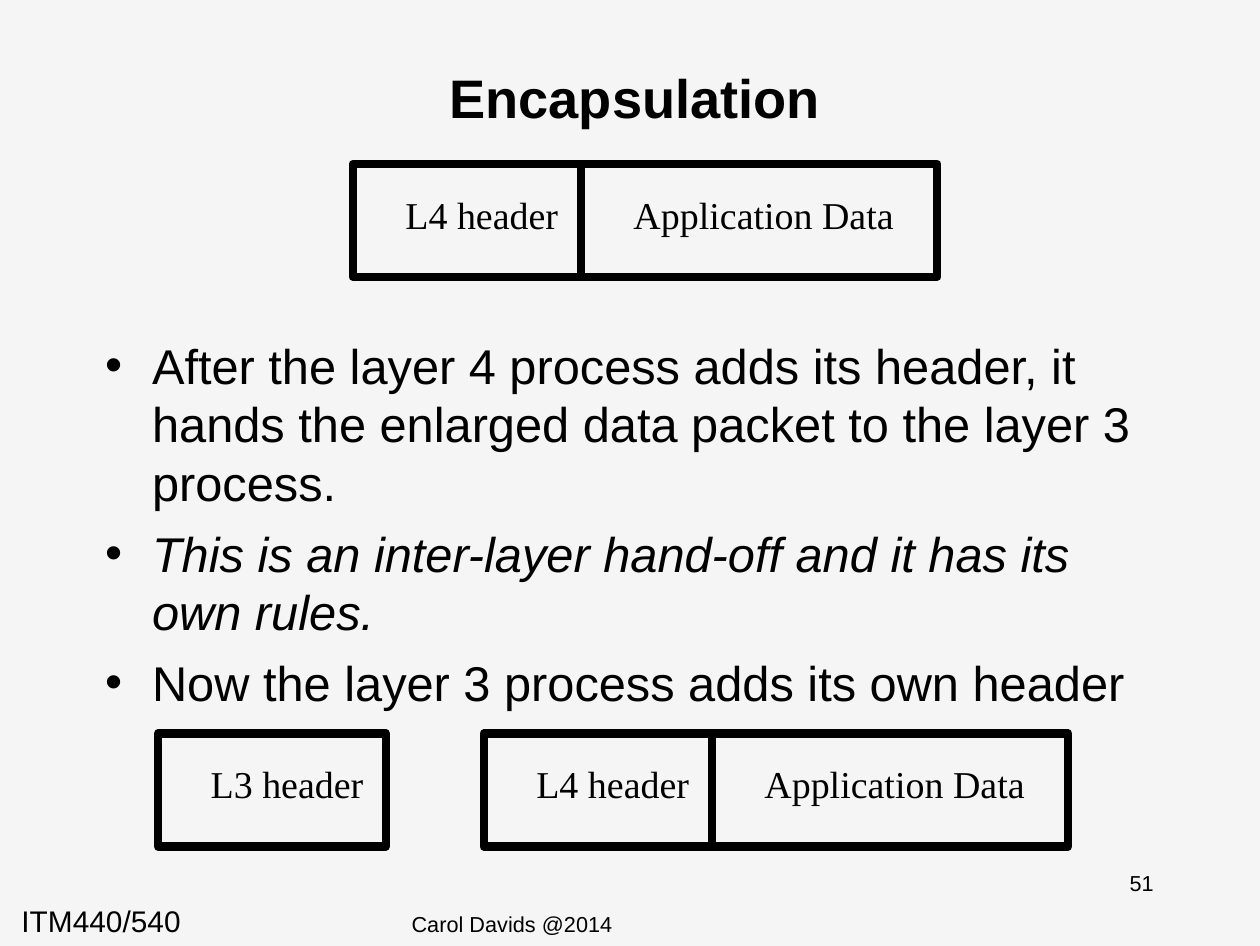
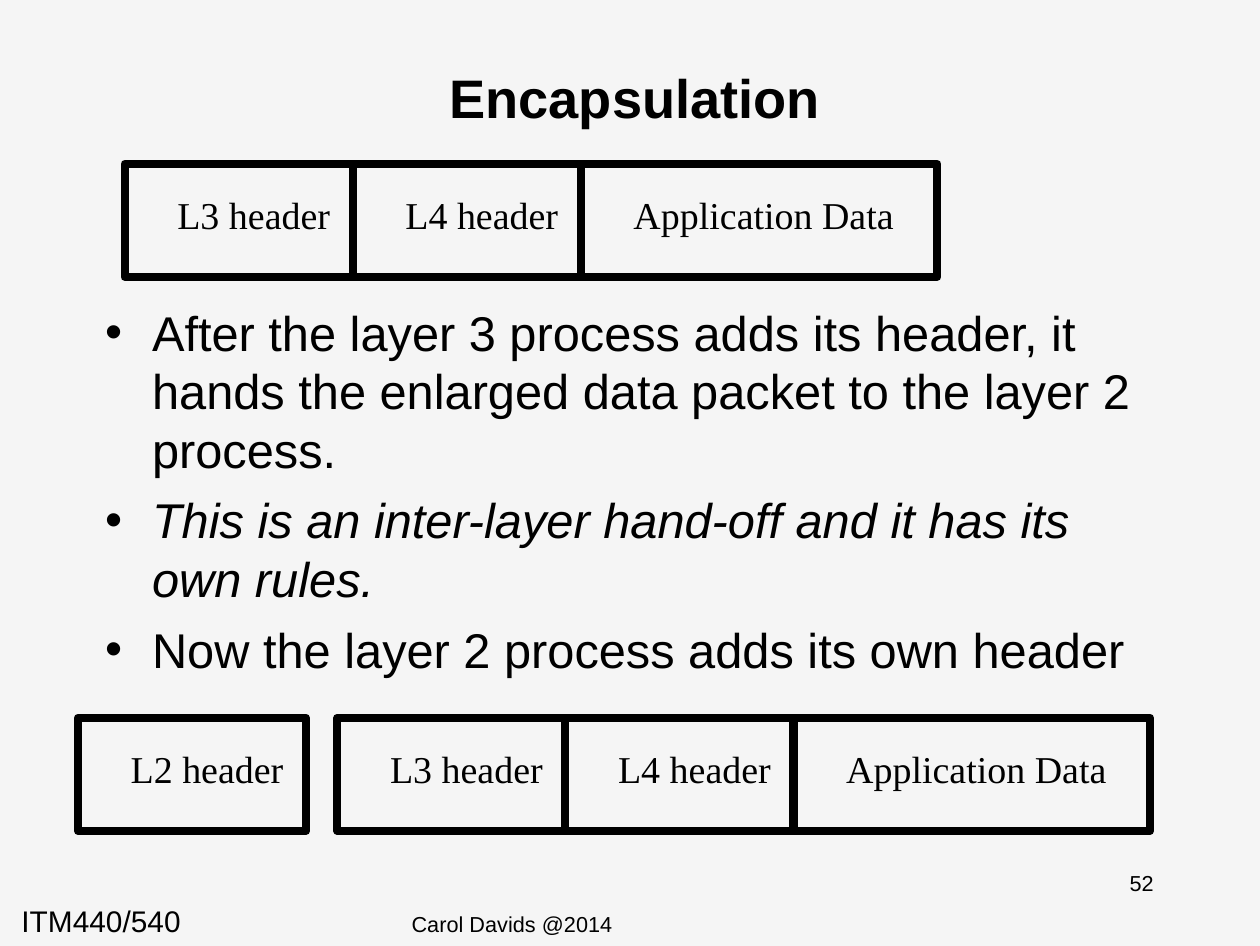
from lxml.etree import SubElement
from pptx import Presentation
from pptx.dml.color import RGBColor
from pptx.enum.shapes import MSO_SHAPE
from pptx.enum.text import MSO_ANCHOR, MSO_AUTO_SIZE, PP_ALIGN
from pptx.oxml.ns import qn
from pptx.util import Inches, Pt

INK = RGBColor(0x00, 0x00, 0x00)
PAPER = RGBColor(0xF5, 0xF5, 0xF5)
SANS, SERIF = "Arial", "Times New Roman"

prs = Presentation()
prs.slide_width, prs.slide_height = Inches(6.46), Inches(4.85)
COL, ROW = prs.slide_width / 100, prs.slide_height / 100
prs.slide_master.background.fill.solid()
prs.slide_master.background.fill.fore_color.rgb = PAPER
TITLE_ONLY = prs.slide_layouts[5]

TITLE_AREA = (7.89, 1.86, 84.98, 16.7)
FOOTER_AREA = (0, 94.43, 77.1, 5.5)
NUMBER_AREA = (82.82, 91.34, 15.6, 6.6)
BODY_LEFT, BODY_WIDTH = 7.43, 84.98
PACKET_HEIGHT = 11.96
FIELD_WIDTHS = {
    "L2 header": 18.1,
    "L3 header": 18.1,
    "L4 header": 18.1,
    "Application Data": 28.3,
}
NARROW_INSETS = (0.06, 0.03, 0.06, 0.03)
FOOTER_INSETS = (0.11, 0.05, 0.11, 0.05)
FIELD_INSETS = (0.27, 0.14, 0, 0)


def grid(left, top, width, height):
    return [round(n) for n in (left * COL, top * ROW, width * COL, height * ROW)]


def style_text(shape, insets, size, name=SANS, bold=False,
               align=PP_ALIGN.LEFT, anchor=MSO_ANCHOR.TOP):
    frame = shape.text_frame
    frame_format = {
        "word_wrap": True,
        "auto_size": MSO_AUTO_SIZE.NONE,
        "vertical_anchor": anchor,
    }
    for side, inset in zip(("left", "top", "right", "bottom"), insets):
        frame_format[f"margin_{side}"] = Inches(inset)
    for key, value in frame_format.items():
        setattr(frame, key, value)
    font_format = {"name": name, "size": Pt(size), "bold": bold}
    for paragraph in frame.paragraphs:
        paragraph.alignment = align
        for run in paragraph.runs:
            for key, value in font_format.items():
                setattr(run.font, key, value)
            run.font.color.rgb = INK
    return frame


STEPS = [
    {
        "upper": 4, "lower": 3, "body": (34.85, 48),
        "packets": [
            (28, 17.32, ["L4 header", "Application Data"]),
            (12.54, 77.53, ["L3 header"]),
            (38.39, 77.53, ["L4 header", "Application Data"]),
        ],
    },
    {
        "upper": 3, "lower": 2, "body": (31.34, 42.9),
        "packets": [
            (9.9, 17.32, ["L3 header", "L4 header", "Application Data"]),
            (6.19, 75.88, ["L2 header"]),
            (26.78, 75.88, ["L3 header", "L4 header", "Application Data"]),
        ],
    },
]

for page, step in enumerate(STEPS, start=51):
    slide = prs.slides.add_slide(TITLE_ONLY)
    shapes = slide.shapes

    title = shapes.title
    title.left, title.top, title.width, title.height = grid(*TITLE_AREA)
    title.text_frame.text = "Encapsulation"
    style_text(title, NARROW_INSETS, 20, bold=True,
               align=PP_ALIGN.CENTER, anchor=MSO_ANCHOR.MIDDLE)

    footer = shapes.add_textbox(*grid(*FOOTER_AREA))
    course_line = footer.text_frame.paragraphs[0]
    tabs = SubElement(course_line._p.get_or_add_pPr(), qn("a:tabLst"))
    SubElement(tabs, qn("a:tab"), pos=str(Inches(2)), algn="l")
    for words in ("ITM440/540\t", "Carol Davids @2014"):
        course_line.add_run().text = words
    style_text(footer, FOOTER_INSETS, 11)
    course_line.runs[1].font.size = Pt(8)

    number = shapes.add_textbox(*grid(*NUMBER_AREA))
    number.text_frame.text = str(page)
    style_text(number, NARROW_INSETS, 8, align=PP_ALIGN.CENTER)

    body_top, body_height = step["body"]
    upper, lower = step["upper"], step["lower"]
    body = shapes.add_textbox(*grid(BODY_LEFT, body_top, BODY_WIDTH, body_height))
    body.text_frame.text = "\n".join([
        f"After the layer {upper} process adds its header, it hands the "
        f"enlarged data packet to the layer {lower} process.",
        "This is an inter-layer hand-off and it has its own rules.",
        f"Now the layer {lower} process adds its own header",
    ])
    points = style_text(body, NARROW_INSETS, 18).paragraphs
    for index, point in enumerate(points):
        props = point._p.get_or_add_pPr()
        props.set("marL", str(Inches(0.24)))
        props.set("indent", str(-Inches(0.24)))
        SubElement(props, qn("a:buFont"), typeface=SANS)
        SubElement(props, qn("a:buChar"), char="•")
        point.line_spacing = Pt(21.6)
        point.space_before = Pt(4.5 if index else 0)
    points[1].runs[0].font.italic = True

    for left, top, fields in step["packets"]:
        for label in fields:
            width = FIELD_WIDTHS[label]
            field = shapes.add_shape(
                MSO_SHAPE.RECTANGLE, *grid(left, top, width, PACKET_HEIGHT))
            field.shadow.inherit = False
            field.fill.background()
            field.line.color.rgb = INK
            field.line.width = Pt(3)
            field.text_frame.text = label
            style_text(field, FIELD_INSETS, 14, name=SERIF)
            left += width

prs.save("out.pptx")
